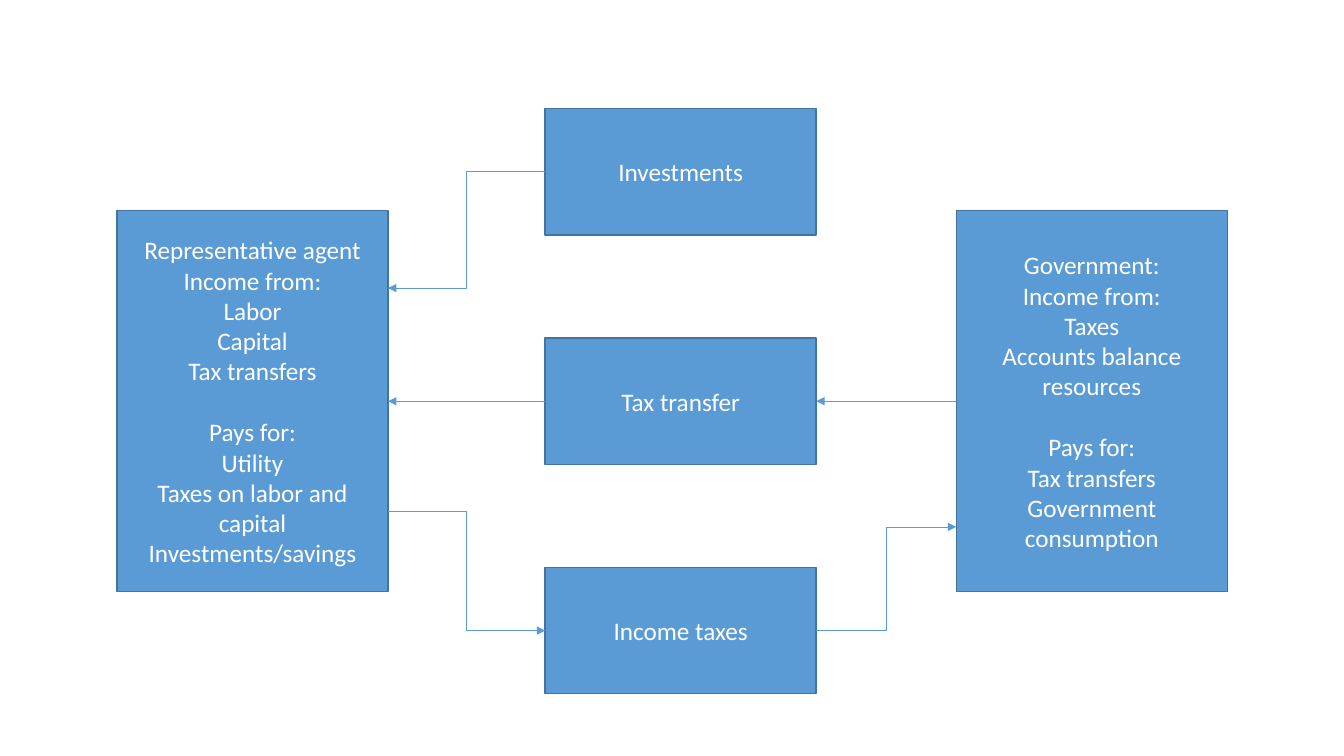
from dataclasses import dataclass

import pptx
import pptx.dml.color
import pptx.enum.shapes
import pptx.enum.text
import pptx.oxml
import pptx.oxml.ns
import pptx.slide
import pptx.util

BOX_BLUE = pptx.dml.color.RGBColor(0x5B, 0x9B, 0xD5)
EDGE_BLUE = pptx.dml.color.RGBColor(0x43, 0x73, 0x9E)
WHITE = pptx.dml.color.RGBColor(0xFF, 0xFF, 0xFF)

BOX_WIDTH = 6.83
AGENT_LEFT, FLOW_LEFT, GOVERNMENT_LEFT = 2.95, 13.74, 24.1
AGENT_RIGHT = AGENT_LEFT + BOX_WIDTH
FLOW_RIGHT = FLOW_LEFT + BOX_WIDTH
SECTOR_TOP, SECTOR_HEIGHT = 5.31, 9.6
FLOW_TOP, FLOW_HEIGHT, FLOW_PITCH = 2.74, 3.18, 5.78
INVESTMENTS_Y, TRANSFER_Y, TAXES_Y = (
    FLOW_TOP + FLOW_HEIGHT / 2 + row * FLOW_PITCH for row in range(3)
)


@dataclass(frozen=True)
class Box:
    left: float
    top: float
    height: float
    groups: tuple[tuple[str, ...], ...]


@dataclass(frozen=True)
class Arrow:
    start: tuple[float, float]
    end: tuple[float, float]


SECTORS = [
    Box(AGENT_LEFT, SECTOR_TOP, SECTOR_HEIGHT, (
        ("Representative agent", "Income from:", "Labor", "Capital", "Tax transfers"),
        ("Pays for:", "Utility", "Taxes on labor and capital", "Investments/savings"),
    )),
    Box(GOVERNMENT_LEFT, SECTOR_TOP, SECTOR_HEIGHT, (
        ("Government:", "Income from:", "Taxes", "Accounts balance", "resources"),
        ("Pays for:", "Tax transfers", "Government consumption"),
    )),
]
FLOWS = [
    Box(FLOW_LEFT, FLOW_TOP + row * FLOW_PITCH, FLOW_HEIGHT, ((label,),))
    for row, label in enumerate(("Investments", "Tax transfer", "Income taxes"))
]
ARROWS = [
    Arrow((GOVERNMENT_LEFT, TRANSFER_Y), (FLOW_RIGHT, TRANSFER_Y)),
    Arrow((FLOW_LEFT, TRANSFER_Y), (AGENT_RIGHT, TRANSFER_Y)),
    Arrow((AGENT_RIGHT, 12.88), (FLOW_LEFT, TAXES_Y)),
    Arrow((FLOW_RIGHT, TAXES_Y), (GOVERNMENT_LEFT, 13.28)),
    Arrow((FLOW_LEFT, INVESTMENTS_Y), (AGENT_RIGHT, 7.26)),
]


def draw_box(slide: pptx.slide.Slide, box: Box) -> None:
    rectangle = slide.shapes.add_shape(
        pptx.enum.shapes.MSO_SHAPE.RECTANGLE,
        *map(pptx.util.Cm, (box.left, box.top, BOX_WIDTH, box.height)),
    )
    rectangle.shadow.inherit = False
    rectangle.fill.solid()
    rectangle.fill.fore_color.rgb = BOX_BLUE
    rectangle.line.color.rgb = EDGE_BLUE
    rectangle.line.width = pptx.util.Pt(1)
    content = rectangle.text_frame
    content.word_wrap = True
    content.vertical_anchor = pptx.enum.text.MSO_ANCHOR.MIDDLE
    entries = [
        (entry, group_index > 0 and entry_index == 0)
        for group_index, group in enumerate(box.groups)
        for entry_index, entry in enumerate(group)
    ]
    for index, (entry, opens_group) in enumerate(entries):
        paragraph = content.add_paragraph() if index else content.paragraphs[0]
        paragraph.alignment = pptx.enum.text.PP_ALIGN.CENTER
        if opens_group:
            paragraph.space_before = pptx.util.Pt(22)
        run = paragraph.add_run()
        run.text = entry
        run.font.name = "Calibri"
        run.font.size = pptx.util.Pt(18)
        run.font.color.rgb = WHITE


def draw_arrow(slide: pptx.slide.Slide, arrow: Arrow) -> None:
    kinds = pptx.enum.shapes.MSO_CONNECTOR
    level = arrow.start[1] == arrow.end[1]
    connector = slide.shapes.add_connector(
        kinds.STRAIGHT if level else kinds.ELBOW,
        *map(pptx.util.Cm, arrow.start + arrow.end),
    )
    connector.line.color.rgb = BOX_BLUE
    connector.line.width = pptx.util.Pt(0.5)
    head = pptx.oxml.parse_xml(
        f'<a:tailEnd {pptx.oxml.ns.nsdecls("a")} type="triangle"/>'
    )
    connector.line._get_or_add_ln().append(head)
    connector._element.spPr.append(
        pptx.oxml.parse_xml(f'<a:effectLst {pptx.oxml.ns.nsdecls("a")}/>')
    )


def main() -> None:
    presentation = pptx.Presentation()
    presentation.slide_width = pptx.util.Cm(33.87)
    presentation.slide_height = pptx.util.Cm(19.05)
    slide = presentation.slides.add_slide(presentation.slide_layouts[6])
    for box in SECTORS + FLOWS:
        draw_box(slide, box)
    for arrow in ARROWS:
        draw_arrow(slide, arrow)
    presentation.save("out.pptx")


if __name__ == "__main__":
    main()
